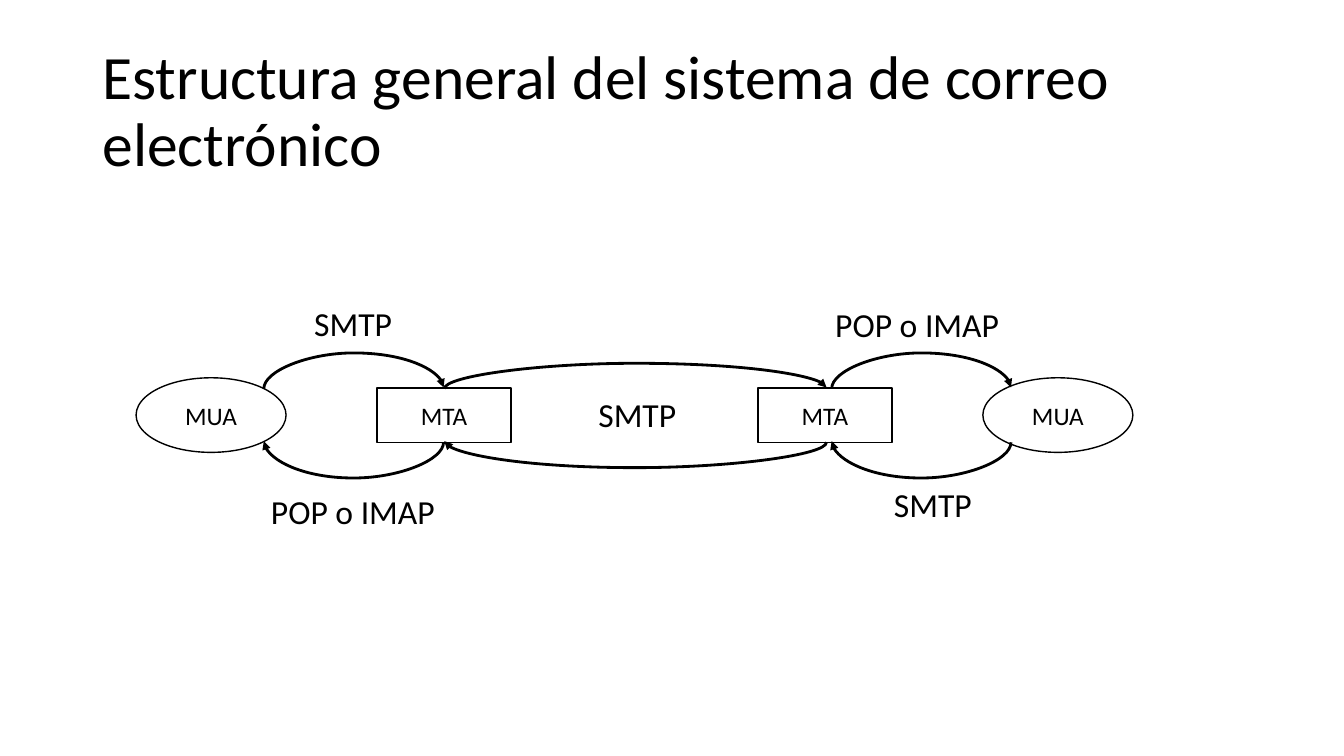
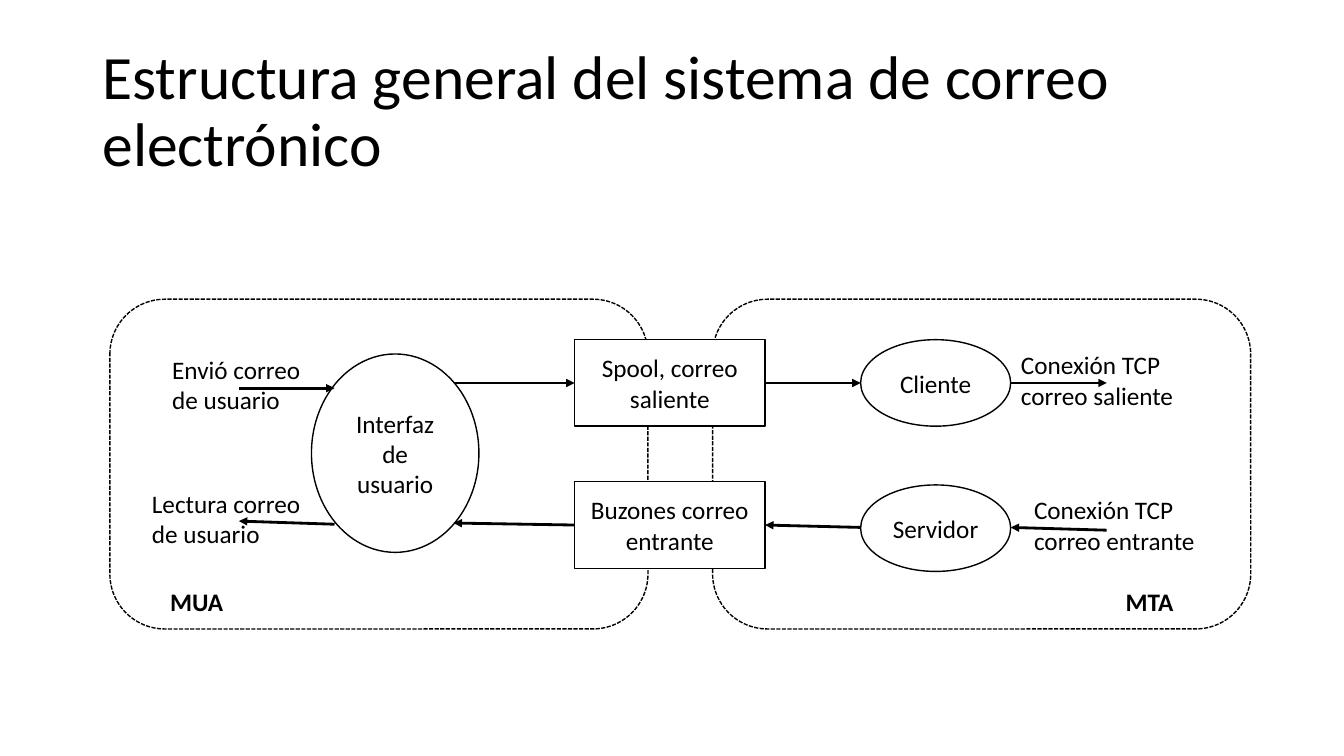
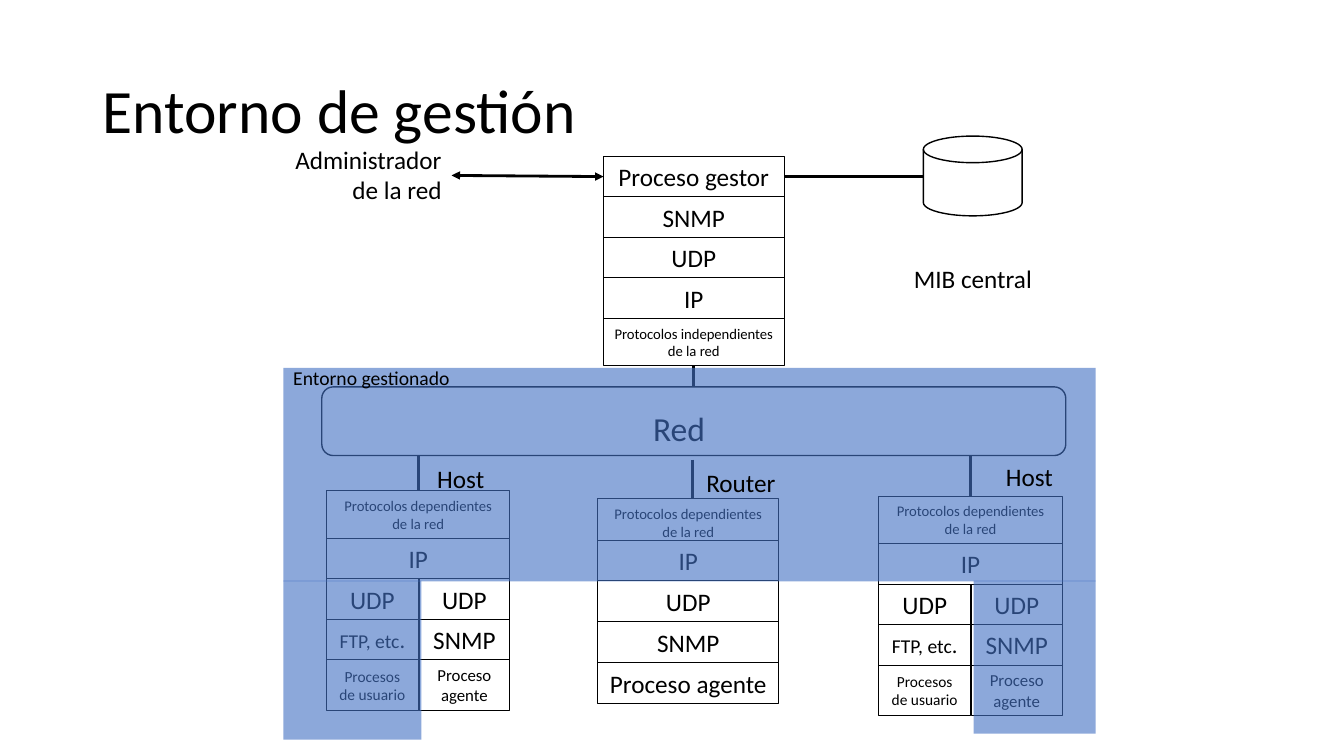
from dataclasses import dataclass

from lxml.etree import SubElement
from pptx import Presentation
from pptx.dml.color import RGBColor
from pptx.enum.dml import MSO_LINE
from pptx.enum.shapes import MSO_CONNECTOR, MSO_SHAPE
from pptx.enum.text import MSO_ANCHOR, MSO_AUTO_SIZE, PP_ALIGN
from pptx.oxml.ns import qn
from pptx.util import Cm, Pt


@dataclass(frozen=True)
class Theme:
    font: str = "Calibri"
    ink: RGBColor = RGBColor(0, 0, 0)
    paper: RGBColor = RGBColor(255, 255, 255)
    veil: RGBColor = RGBColor(0x44, 0x72, 0xC4)
    alpha: int = 61
    title: float = 44
    large: float = 24
    body: float = 18
    dot: float = 16
    note: float = 14
    agent: float = 12
    user: float = 11
    tiny: float = 10.5
    hair: float = 0.75
    thin: float = 1
    thick: float = 2


class Deck:
    def __init__(self, theme):
        self.theme = theme
        self.show = Presentation()
        self.show.slide_width, self.show.slide_height = Cm(33.87), Cm(19.05)
        self.shapes = None

    def slide(self, title):
        self.shapes = self.show.slides.add_slide(self.show.slide_layouts[5]).shapes
        head = self.shapes.title
        head.left, head.top, head.width, head.height = map(Cm, (2.33, 1.01, 29.21, 3.68))
        frame = head.text_frame
        frame.word_wrap = True
        frame.auto_size = MSO_AUTO_SIZE.NONE
        frame.vertical_anchor = MSO_ANCHOR.MIDDLE
        self.words(frame, title, self.theme.title, PP_ALIGN.LEFT)
        frame.paragraphs[0].line_spacing = 0.9

    def words(self, frame, text, size, align, bold=False):
        """Fill a frame with a string, or a list of (string, size) runs."""
        para = frame.paragraphs[0]
        para.alignment = align
        for part, points in [(text, size)] if isinstance(text, str) else text:
            run = para.add_run()
            run.text = part
            run.font.name, run.font.size = self.theme.font, Pt(points)
            run.font.bold = bold
            run.font.color.rgb = self.theme.ink

    def label(self, text, x, y, w, h=1.02, size=None, wrap=False,
              align=PP_ALIGN.LEFT, bold=False):
        frame = self.shapes.add_textbox(Cm(x), Cm(y), Cm(w), Cm(h)).text_frame
        frame.word_wrap = wrap
        frame.auto_size = MSO_AUTO_SIZE.SHAPE_TO_FIT_TEXT
        self.words(frame, text, size or self.theme.body, align, bold)

    def shape(self, kind, x, y, w, h, text="", size=None, line=None, fill=None):
        item = self.shapes.add_shape(kind, Cm(x), Cm(y), Cm(w), Cm(h))
        item.shadow.inherit = False
        self.paint(item, fill)
        item.line.color.rgb = self.theme.ink
        item.line.width = Pt(line or self.theme.thin)
        if text:
            frame = item.text_frame
            frame.word_wrap = True
            frame.vertical_anchor = MSO_ANCHOR.MIDDLE
            self.words(frame, text, size or self.theme.body, PP_ALIGN.CENTER)
        return item

    def paint(self, item, fill):
        if fill is None:
            item.fill.background()
        else:
            item.fill.solid()
            item.fill.fore_color.rgb = fill

    def veil(self, x, y, w, h):
        """Lay a see-through panel over what is already drawn."""
        item = self.shape(MSO_SHAPE.RECTANGLE, x, y, w, h, fill=self.theme.veil)
        item.line.fill.background()
        color = item.element.spPr.find(qn("a:solidFill"))[0]
        SubElement(color, qn("a:alpha"), val=str(self.theme.alpha * 1000))

    def zone(self, x, y, w, h):
        item = self.shape(MSO_SHAPE.ROUNDED_RECTANGLE, x, y, w, h)
        item.line.dash_style = MSO_LINE.SQUARE_DOT

    def stack(self, x, y, w, rows, lead=None):
        """Pile boxes from (text, size, height) rows; lead is the first step down."""
        boxes = []
        for text, size, h in rows:
            boxes.append(self.shape(MSO_SHAPE.RECTANGLE, x, y, w, h, text, size,
                                    self.theme.hair))
            y += lead if lead and len(boxes) == 1 else h
        return boxes

    def line(self, beg, end, ends=("tailEnd",), kind=MSO_CONNECTOR.STRAIGHT):
        item = self.shapes.add_connector(kind, *map(Cm, (*beg, *end)))
        item.line.color.rgb = self.theme.ink
        item.line.width = Pt(self.theme.thick)
        props = item.element.spPr
        for tip in ends:
            SubElement(props.find(qn("a:ln")), qn(f"a:{tip}"), type="triangle")
        SubElement(props, qn("a:effectLst"))
        return item

    def arc(self, beg, end, y, bend):
        """Curved arrow from x = beg to x = end, bowing down by bend (up if negative)."""
        flat, span = 0.03, abs(end - beg)
        x, top = (beg + end - flat) / 2, y - span / 2
        item = self.line((x, top), (x + flat, top + span), kind=MSO_CONNECTOR.CURVE)
        props = item.element.spPr
        frame = props.find(qn("a:xfrm"))
        frame.set("rot", "5400000")
        frame.set("flipH", "1")
        if end > beg:
            frame.set("flipV", "1")
        guides = props.find(qn("a:prstGeom")).find(qn("a:avLst"))
        SubElement(guides, qn("a:gd"), name="adj1",
                   fmla=f"val {round(-bend / flat * 100000)}")


def mail(deck):
    deck.slide("Estructura general del sistema de correo electrónico")
    for x in (3.43, 24.77):
        deck.shape(MSO_SHAPE.OVAL, x, 9.52, 3.78, 1.88, "MUA")
    for x in (9.5, 19.1):
        deck.shape(MSO_SHAPE.RECTANGLE, x, 9.78, 3.38, 1.37, "MTA")
    for left, right, bend in ((6.65, 11.18, 0.9), (11.2, 20.83, 0.64),
                              (20.96, 25.48, 0.9)):
        deck.arc(left, right, 9.78, -bend)
        deck.arc(right, left, 11.13, bend)
    for text, x, y, w in (("SMTP", 14.83, 9.8, 2.49), ("SMTP", 22.28, 12.07, 2.49),
                          ("SMTP", 7.67, 7.52, 2.49), ("POP o IMAP", 6.58, 12.24, 4.67),
                          ("POP o IMAP", 20.8, 7.54, 4.67)):
        deck.label(text, x, y, w, 1.27, deck.theme.large)


def agents(deck):
    deck.slide("Estructura general del sistema de correo electrónico")
    for x in (2.77, 17.96):
        deck.zone(x, 7.54, 13.56, 8.31)
    spool, inbox = [
        deck.shape(MSO_SHAPE.RECTANGLE, 14.48, y, 4.8, 2.18, text, fill=deck.theme.paper)
        for y, text in ((8.56, "Spool, correo saliente"), (12.14, "Buzones correo entrante"))]
    for y, text in ((8.56, "Cliente"), (12.22, "Servidor")):
        deck.shape(MSO_SHAPE.OVAL, 21.69, y, 3.78, 2.18, text)
    deck.shape(MSO_SHAPE.OVAL, 7.85, 8.92, 4.22, 5, "Interfaz de usuario")

    deck.line((6.02, 9.78), (8.43, 9.78))
    deck.line((11.43, 9.65), (14.48, 9.65)).end_connect(spool, 1)
    deck.line((19.28, 9.65), (21.69, 9.65)).begin_connect(spool, 3)
    deck.line((25.47, 9.65), (27.89, 9.65))
    deck.line((27.89, 13.36), (25.47, 13.29))
    deck.line((21.69, 13.29), (19.28, 13.23)).end_connect(inbox, 3)
    deck.line((14.48, 13.23), (11.43, 13.18)).begin_connect(inbox, 1)
    deck.line((8.43, 13.21), (6.02, 13.13))

    for text, x, y, w in (("Envió correo de usuario", 4.09, 8.81, 3.86),
                          ("Lectura correo de usuario", 3.58, 12.17, 4.34),
                          ("Conexión TCP correo saliente", 25.48, 8.69, 4.62),
                          ("Conexión TCP correo entrante", 25.81, 12.34, 4.62)):
        deck.label(text, x, y, w, 1.8, wrap=True)
    for text, x, w in (("MTA", 28.12, 1.73), ("MUA", 4.04, 1.85)):
        deck.label(text, x, 14.66, w, bold=True)


def host(deck, x, y):
    """Draw a host's protocol stack and the drop from the network."""
    t = deck.theme
    top = deck.stack(x, y, 4.62, [("Protocolos dependientes de la red", t.tiny, 1.2),
                                  ("IP", t.body, 1.02)])[0]
    low = y + 2.22
    deck.stack(x, low, 2.31, [("UDP", t.body, 1.02),
                              ([("FTP, etc", t.note), (".", t.dot)], t.note, 1.02),
                              ("Procesos de usuario", t.user, 1.27)])
    deck.stack(x + 2.33, low, 2.29, [("UDP", t.body, 1.02), ("SNMP", t.body, 1.02),
                                     ("Proceso agente", t.agent, 1.27)])
    mid = x + 2.31
    deck.line((mid, 11.48), (mid, y), ()).end_connect(top, 0)


def manage(deck):
    t = deck.theme
    deck.slide("Entorno de gestión")
    boss = deck.stack(15.21, 3.94, 4.55, [
        *[(text, t.body, 1.02) for text in ("Proceso gestor", "SNMP", "UDP", "IP")],
        ("Protocolos independientes de la red", t.tiny, 1.2)])
    deck.shape(MSO_SHAPE.FLOWCHART_MAGNETIC_DISK, 23.27, 3.43, 2.49, 2.01)
    net = deck.shape(MSO_SHAPE.ROUNDED_RECTANGLE, 8.11, 9.75, 18.75, 1.73)
    deck.label("Red", 16.21, 10.16, 1.83, 1.27, t.large)
    for x, y in ((8.23, 12.37), (22.15, 12.5)):
        host(deck, x, y)
    router = deck.stack(15.07, 12.57, 4.55, [
        ("Protocolos dependientes de la red", t.tiny, 1.2),
        *[(text, t.body, 1.03) for text in ("IP", "UDP", "SNMP", "Proceso agente")]],
        lead=1.04)
    deck.paint(router[1], t.paper)

    deck.label("MIB central", 22.78, 6.5, 3.51)
    deck.label("Administrador de la red", 7.14, 3.51, 4.24, 1.8, wrap=True,
               align=PP_ALIGN.RIGHT)
    deck.line((19.76, 4.45), (23.27, 4.45), ()).begin_connect(boss[0], 3)
    deck.line((11.38, 4.42), (15.21, 4.45), ("headEnd", "tailEnd")).end_connect(boss[0], 1)
    trunk = deck.line((17.49, 9.22), (17.49, 9.75), ())
    trunk.begin_connect(boss[-1], 2)
    trunk.end_connect(net, 0)
    deck.line((17.45, 11.58), (17.45, 12.57), ())

    deck.veil(7.14, 9.27, 20.47, 5.38)
    deck.veil(7.14, 14.63, 3.48, 4.01)
    deck.veil(24.54, 14.63, 3.07, 3.86)
    deck.label("Entorno gestionado", 7.14, 9.09, 4.5, 0.86, t.note)
    for text, x, y, w in (("Host", 10.77, 11.56, 1.7), ("Host", 25.1, 11.51, 1.7),
                          ("Router", 17.55, 11.66, 2.29)):
        deck.label(text, x, y, w)


def main():
    deck = Deck(Theme())
    mail(deck)
    agents(deck)
    manage(deck)
    deck.show.save("out.pptx")


if __name__ == "__main__":
    main()
